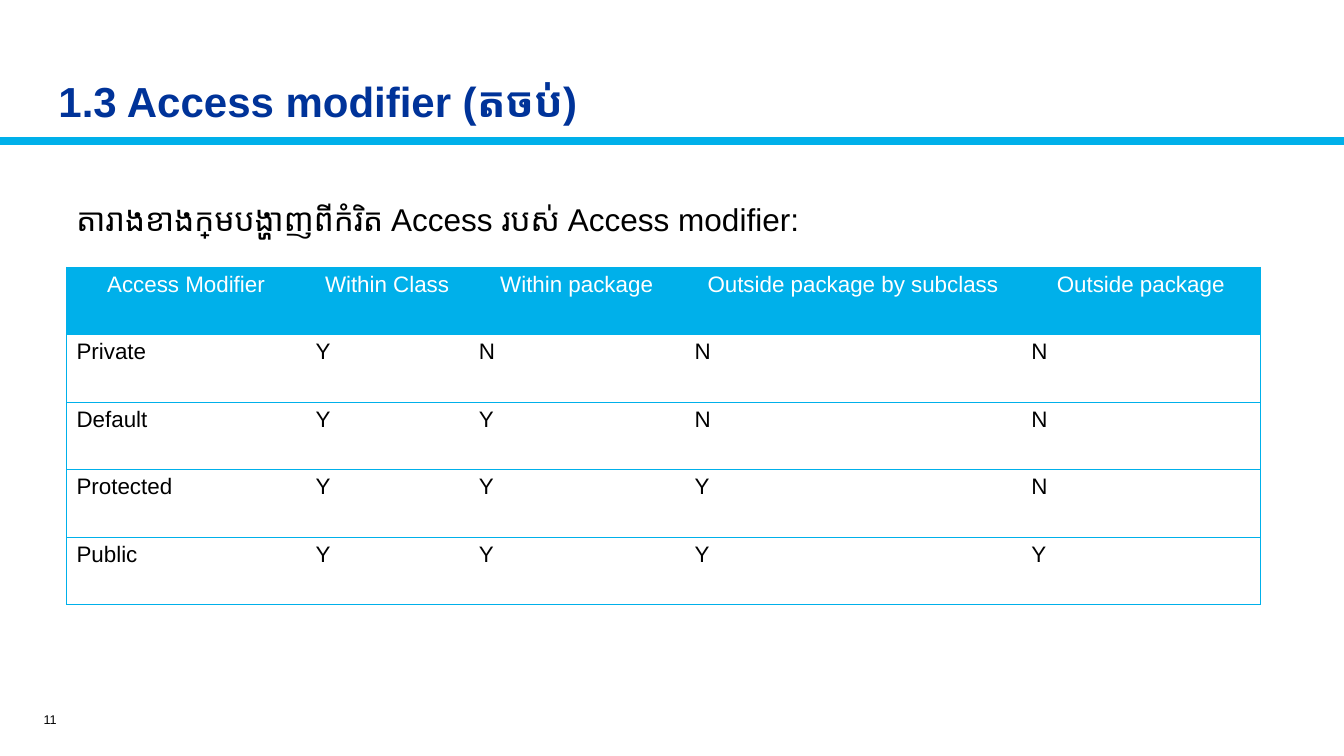
import pptx
import pptx.util
import pptx.dml.color
import pptx.enum.shapes
import pptx.enum.text
import pptx.oxml.ns
from lxml import etree
from pptx.util import Inches

COLORS = {"title": "003399", "accent": "00B0EA", "text": "000000", "white": "FFFFFF"}
FONT = "Arial"
ALIGN = pptx.enum.text.PP_ALIGN
ANCHOR = pptx.enum.text.MSO_ANCHOR
COLUMN_WIDTHS = [2.37, 1.62, 2.14, 3.34, 2.37]
ROW_HEIGHT = 0.67
ACCESS_LEVELS = [
    ["Access Modifier", "Within Class", "Within package",
     "Outside package by subclass", "Outside package"],
    ["Private", "Y", "N", "N", "N"],
    ["Default", "Y", "Y", "N", "N"],
    ["Protected", "Y", "Y", "Y", "N"],
    ["Public", "Y", "Y", "Y", "Y"],
]


def color(name):
    return pptx.dml.color.RGBColor.from_string(COLORS[name])


def write(frame, text, size, color_name, align=ALIGN.LEFT, bold=False):
    para = frame.paragraphs[0]
    para.alignment = align
    span = para.add_run()
    span.text = text
    span.font.name = FONT
    span.font.size = pptx.util.Pt(size)
    span.font.bold = bold
    span.font.color.rgb = color(color_name)
    return para


def add_title(page, text):
    title = page.shapes.title
    title.left, title.top = Inches(0.48), Inches(0.39)
    title.width, title.height = Inches(9.02), Inches(0.87)
    frame = title.text_frame
    frame.word_wrap = True
    frame.vertical_anchor = ANCHOR.BOTTOM
    frame.margin_bottom = 0
    write(frame, text, 30, "title", bold=True).line_spacing = 0.9


def add_rule(page, width):
    y = Inches(1.4)
    rule = page.shapes.add_connector(
        pptx.enum.shapes.MSO_CONNECTOR.STRAIGHT, 0, y, width, y)
    rule.line.color.rgb = color("accent")
    rule.line.width = pptx.util.Pt(6)
    etree.SubElement(rule._element.spPr, pptx.oxml.ns.qn("a:effectLst"))


def add_text(page, place, text, size, align=ALIGN.LEFT, anchor=ANCHOR.TOP):
    box = page.shapes.add_textbox(*map(Inches, place))
    box.text_frame.word_wrap = True
    box.text_frame.vertical_anchor = anchor
    write(box.text_frame, text, size, "text", align)


def set_borders(cell, visible):
    """Draw the named sides in the accent colour and hide the others."""
    properties = cell._tc.get_or_add_tcPr()
    for index, side in enumerate(["L", "R", "T", "B"]):
        line = etree.Element(pptx.oxml.ns.qn(f"a:ln{side}"), w="6350")
        if side in visible:
            fill = etree.SubElement(line, pptx.oxml.ns.qn("a:solidFill"))
            etree.SubElement(fill, pptx.oxml.ns.qn("a:srgbClr"), val=COLORS["accent"])
        else:
            etree.SubElement(line, pptx.oxml.ns.qn("a:noFill"))
        properties.insert(index, line)


def add_access_table(page):
    row_count, column_count = len(ACCESS_LEVELS), len(COLUMN_WIDTHS)
    table = page.shapes.add_table(
        row_count, column_count, Inches(0.66), Inches(2.65),
        Inches(sum(COLUMN_WIDTHS)), Inches(ROW_HEIGHT * row_count)).table
    table.horz_banding = False
    for column, width in zip(table.columns, COLUMN_WIDTHS):
        column.width = Inches(width)
    for row_index, values in enumerate(ACCESS_LEVELS):
        table.rows[row_index].height = Inches(ROW_HEIGHT)
        header = row_index == 0
        for column_index, value in enumerate(values):
            cell = table.cell(row_index, column_index)
            cell.fill.solid()
            cell.fill.fore_color.rgb = color("accent" if header else "white")
            write(cell.text_frame, value, 16, "white" if header else "text",
                  ALIGN.CENTER if header else ALIGN.LEFT)
            sides = "TB"
            if column_index == 0:
                sides += "L"
            if column_index == column_count - 1:
                sides += "R"
            set_borders(cell, sides)


def main():
    deck = pptx.Presentation()
    deck.slide_width, deck.slide_height = Inches(13.33), Inches(7.5)
    page = deck.slides.add_slide(deck.slide_layouts.get_by_name("Title Only"))
    add_rule(page, deck.slide_width)
    add_title(page, "1.3 Access modifier (តចប់)")
    add_text(page, (0.66, 1.94, 12.05, 0.6),
             "តារាងខាងក្រោមបង្ហាញពីកំរិត Access របស់ Access modifier:", 22.5)
    add_text(page, (0.09, 6.99, 0.57, 0.3), "11", 9, ALIGN.RIGHT, ANCHOR.MIDDLE)
    add_access_table(page)
    deck.save("out.pptx")


if __name__ == "__main__":
    main()
